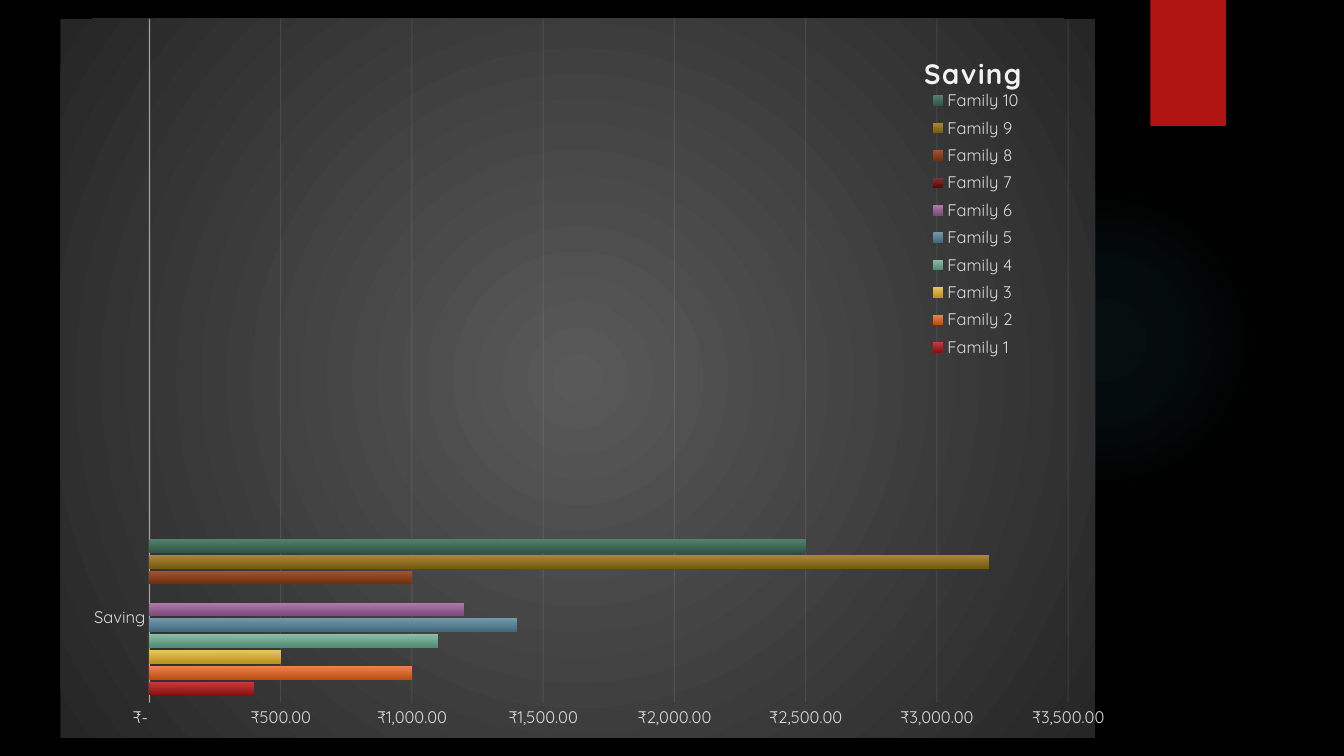
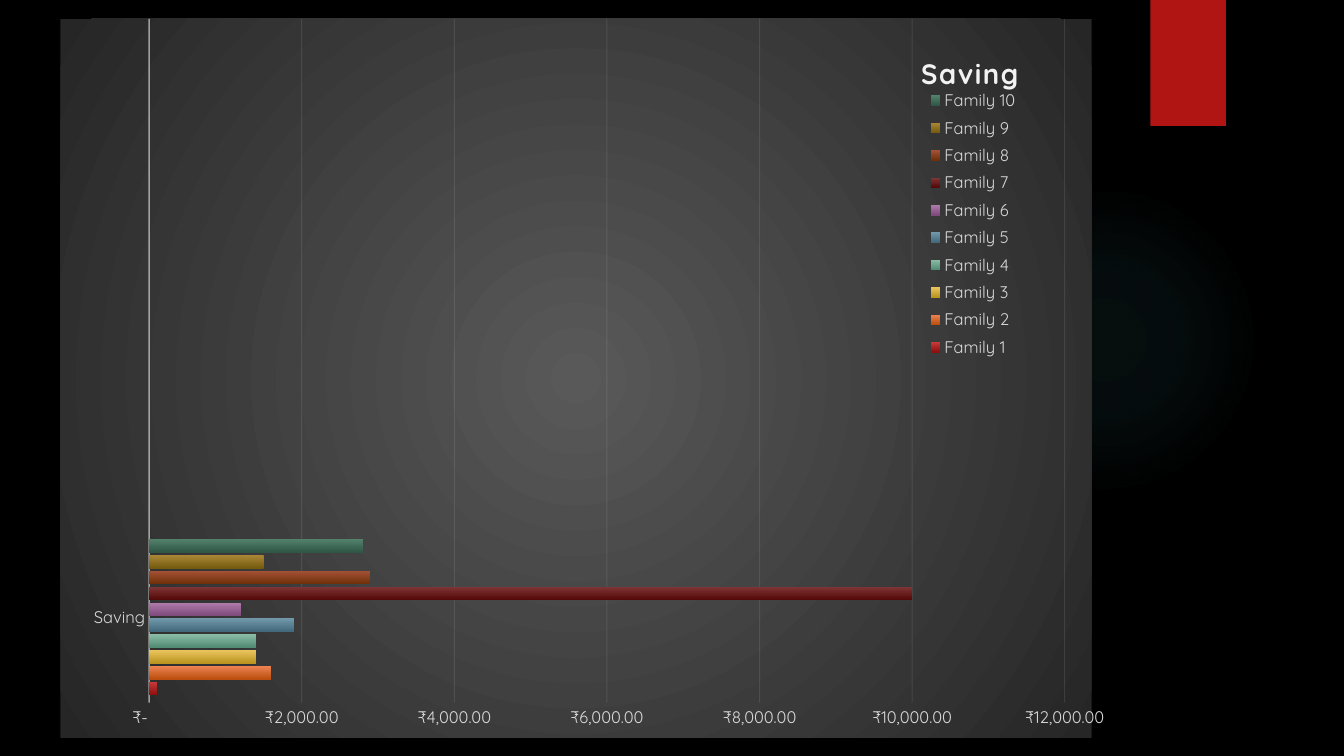
from lxml import etree
from pptx import Presentation
from pptx.chart.data import CategoryChartData
from pptx.dml.color import RGBColor
from pptx.enum.chart import XL_CHART_TYPE, XL_LEGEND_POSITION, XL_TICK_MARK
from pptx.enum.shapes import MSO_SHAPE
from pptx.oxml.ns import qn
from pptx.util import Inches, Pt

BAR_CLUSTERED = XL_CHART_TYPE.BAR_CLUSTERED
CORNER = XL_LEGEND_POSITION.CORNER
NO_TICK = XL_TICK_MARK.NONE
OVAL = MSO_SHAPE.OVAL
RECTANGLE = MSO_SHAPE.RECTANGLE

FONT = "Quicksand"
BLACK = "000000"
WHITE = "FFFFFF"
RED = "B01513"
PALE = "F2F2F2"
LABEL = "D9D9D9"
HALO_STOPS = [(0, "50B9C1", 7), (36, "50B9C1", 6), (69, "50B9C1", 0)]
CHART_STOPS = [(0, "595959", 100), (100, "262626", 100)]
BAR_COLORS = [
    ("C93B3A", "8D110F"),
    ("EE8455", "BC4F0E"),
    ("EBC65F", "BB941F"),
    ("89BDA7", "538C74"),
    ("7198AB", "436A7C"),
    ("AF7CAC", "7F4B7C"),
    ("7F3636", "550A09"),
    ("A45236", "713009"),
    ("AA8737", "755B0E"),
    ("52816C", "305646"),
]
RUPEES = '_("₹"* #,##0.00_);_("₹"* \\(#,##0.00\\);_("₹"* "-"??_);_(@_)'
CATEGORIES = ["Saving", "", "", ""]
SAVINGS = [
    [400, 1000, 500, 1100, 1400, 1200, 0, 1000, 3200, 2500],
    [100, 1600, 1400, 1400, 1900, 1200, 10000, 2900, 1500, 2800],
]


def rgb(value):
    return RGBColor.from_string(value)


def add_child(parent, tag, **attributes):
    child = etree.SubElement(parent, qn(tag))
    for name, value in attributes.items():
        child.set(name, str(value))
    return child


def set_gradient(properties, stops, angle=None):
    for solid in properties.findall(qn("a:solidFill")):
        properties.remove(solid)
    gradient = etree.Element(qn("a:gradFill"), rotWithShape="1")
    stop_list = add_child(gradient, "a:gsLst")
    for position, color, opacity in stops:
        stop = add_child(stop_list, "a:gs", pos=position * 1000)
        paint = add_child(stop, "a:srgbClr", val=color)
        if opacity < 100:
            add_child(paint, "a:alpha", val=opacity * 1000)
    if angle is None:
        circle = add_child(gradient, "a:path", path="circle")
        add_child(circle, "a:fillToRect", l=50000, t=50000, r=50000, b=50000)
    else:
        add_child(gradient, "a:lin", ang=angle * 60000, scaled=0)
    geometry = properties.find(qn("a:prstGeom"))
    if geometry is None:
        properties.insert(0, gradient)
    else:
        geometry.addnext(gradient)


def style_line(line, color, width, opacity):
    line.color.rgb = rgb(color)
    line.width = Pt(width)
    paint = line._get_or_add_ln().find(".//" + qn("a:srgbClr"))
    add_child(paint, "a:alpha", val=opacity * 1000)


def style_font(font, size, color, bold=False):
    font.name = FONT
    font.size = Pt(size)
    font.bold = bold
    font.color.rgb = rgb(color)


def set_layout(element, index, inner=False, **fractions):
    for old in element.findall(qn("c:layout")):
        element.remove(old)
    layout = etree.Element(qn("c:layout"))
    element.insert(index, layout)
    manual = add_child(layout, "c:manualLayout")
    if inner:
        add_child(manual, "c:layoutTarget", val="inner")
    for side in ("x", "y"):
        add_child(manual, f"c:{side}Mode", val="edge")
    for name, value in fractions.items():
        add_child(manual, f"c:{name}", val=value)


def add_plain_shape(page, kind, left, top, width, height, color):
    shape = page.shapes.add_shape(
        kind, Inches(left), Inches(top), Inches(width), Inches(height)
    )
    shape.shadow.inherit = False
    shape.fill.solid()
    shape.fill.fore_color.rgb = rgb(color)
    shape.line.fill.background()
    return shape


def add_decor(page):
    halo = add_plain_shape(page, OVAL, 9.41, 1.83, 3.08, 3.08, BLACK)
    set_gradient(halo._element.spPr, HALO_STOPS)
    add_plain_shape(page, RECTANGLE, 11.41, 0, 0.75, 1.25, RED)


def style_title(chart):
    chart.has_title = True
    title = chart.chart_title
    title.include_in_layout = True
    title.text_frame.text = "Saving"
    paragraph = title.text_frame.paragraphs[0]
    style_font(paragraph.font, 20, PALE, bold=True)
    paragraph._p.pPr.find(qn("a:defRPr")).set("spc", "100")
    set_layout(title._element, 1, x=0.83, y=0.04)


def style_legend(chart):
    chart.has_legend = True
    legend = chart.legend
    legend.position = CORNER
    legend.include_in_layout = True
    style_font(legend.font, 12, LABEL)
    set_layout(legend._element, 1, x=0.83, y=0.09, w=0.11, h=0.39)


def style_axes(chart):
    for axis in (chart.category_axis, chart.value_axis):
        axis.major_tick_mark = NO_TICK
        axis.minor_tick_mark = NO_TICK
        style_font(axis.tick_labels.font, 12, LABEL)
    chart.category_axis.has_major_gridlines = False
    style_line(chart.category_axis.format.line, PALE, 1, 54)
    values = chart.value_axis
    values.format.line.fill.background()
    values.has_major_gridlines = True
    style_line(values.major_gridlines.format.line, PALE, 0.75, 10)
    values.tick_labels.number_format = RUPEES
    values.tick_labels.number_format_is_linked = False


def style_bars(chart):
    plot = chart.plots[0]
    plot.gap_width = 115
    plot.overlap = -20
    plot.vary_by_categories = False
    for series, (light, dark) in zip(plot.series, BAR_COLORS):
        series.format.fill.solid()
        stops = [(0, light, 100), (100, dark, 100)]
        set_gradient(series._element.get_or_add_spPr(), stops, angle=90)


def style_chart_area(chart):
    body = chart._chartSpace.find(qn("c:chart"))
    set_layout(body.find(qn("c:plotArea")), 0, inner=True,
               x=0.086, y=0, w=0.888, h=0.951)
    area = etree.Element(qn("c:spPr"))
    set_gradient(area, CHART_STOPS)
    border = add_child(area, "a:ln")
    add_child(border, "a:noFill")
    body.addnext(area)


def add_savings_chart(page, savings):
    data = CategoryChartData(number_format=RUPEES)
    data.categories = CATEGORIES
    for number, amount in enumerate(savings, start=1):
        data.add_series(f"Family {number}", [amount, None, None, None])
    frame = page.shapes.add_chart(
        BAR_CLUSTERED, Inches(0.6), Inches(0.18), Inches(10.4), Inches(7.14), data
    )
    chart = frame.chart
    style_font(chart.font, 10, WHITE)
    style_title(chart)
    style_legend(chart)
    style_axes(chart)
    style_bars(chart)
    style_chart_area(chart)


def main():
    deck = Presentation()
    deck.slide_width = Inches(13.33)
    deck.slide_height = Inches(7.5)
    background = deck.slide_master.background.fill
    background.solid()
    background.fore_color.rgb = rgb(BLACK)
    for savings in SAVINGS:
        page = deck.slides.add_slide(deck.slide_layouts[6])
        add_decor(page)
        add_savings_chart(page, savings)
    deck.save("out.pptx")


if __name__ == "__main__":
    main()
